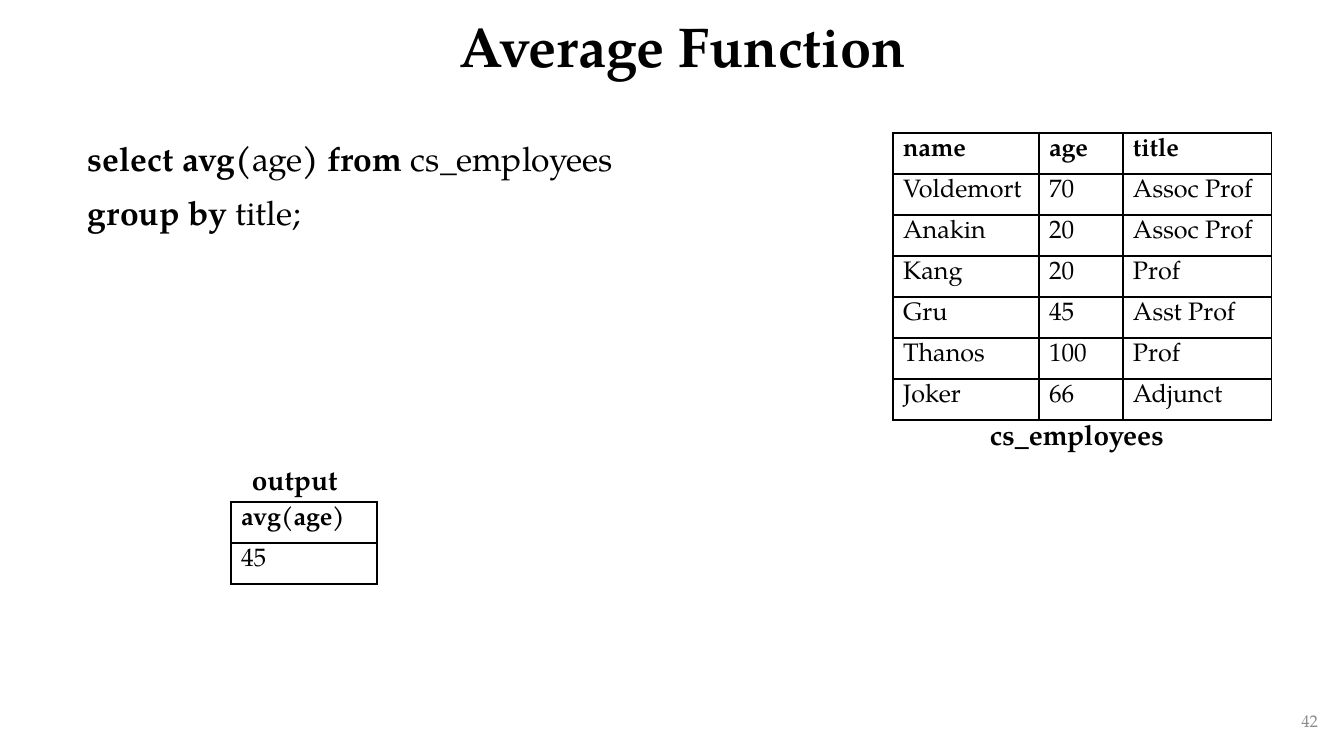
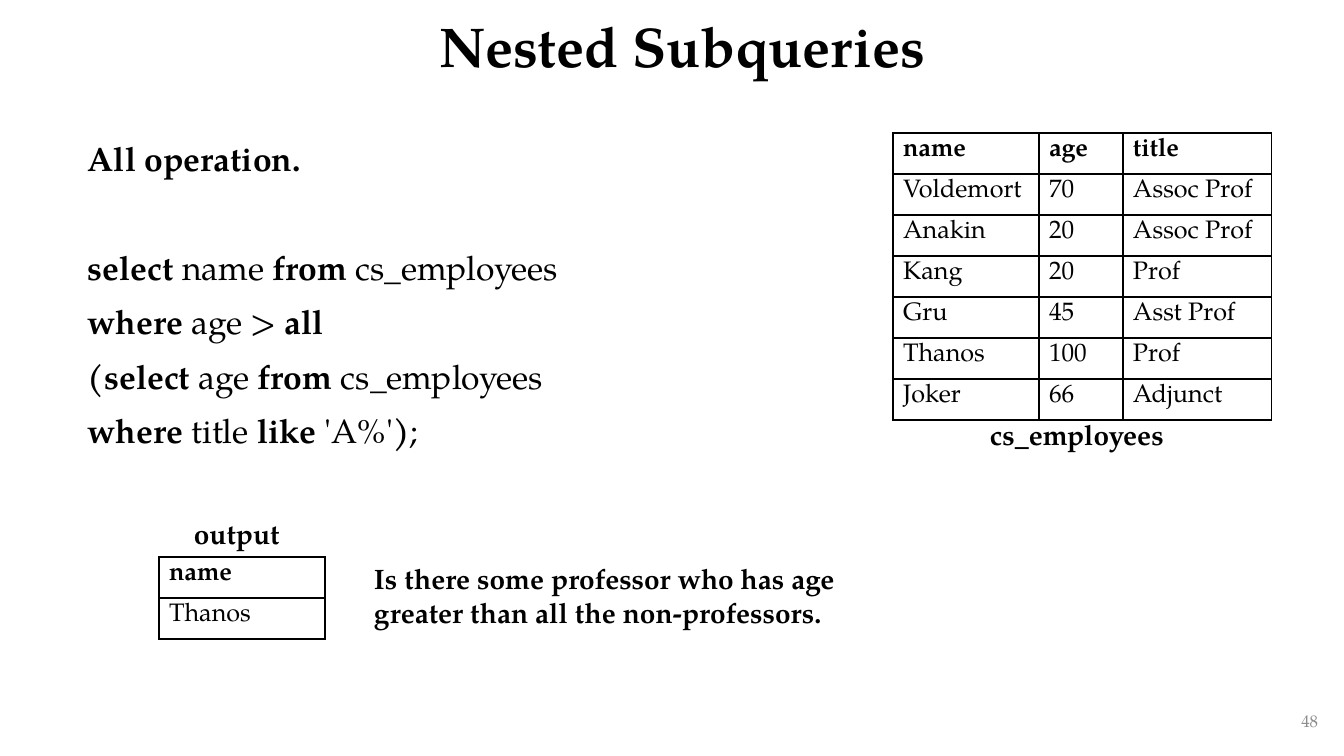
from dataclasses import dataclass

from lxml import etree
from pptx import Presentation
from pptx.dml.color import RGBColor
from pptx.enum.text import MSO_ANCHOR, PP_ALIGN
from pptx.oxml.ns import qn
from pptx.util import Pt

LEFT, CENTER, RIGHT, JUSTIFY = PP_ALIGN.LEFT, PP_ALIGN.CENTER, PP_ALIGN.RIGHT, PP_ALIGN.JUSTIFY
TOP, MIDDLE = MSO_ANCHOR.TOP, MSO_ANCHOR.MIDDLE
EMU_PER_PX = 914400 / 100.8


@dataclass(frozen=True)
class Theme:
    font: str = "TeX Gyre Pagella"
    ink: str = "000000"
    muted: str = "8C8C8C"
    title_size: int = 40
    body_size: int = 24
    caption_size: int = 20
    table_size: int = 18
    number_size: int = 12
    line_gap: int = 10
    block_gap: int = 49
    border_width: int = 1
    row_height: int = 41


THEME = Theme()


def px(length):
    return round(length * EMU_PER_PX)


def write_text(text, *, frame, size, color=THEME.ink, align=LEFT, anchor=TOP, line_spacing=1, gap=0):
    frame.word_wrap = True
    frame.vertical_anchor = anchor
    lines = [(line, index > 0 and line_index == 0)
             for index, block in enumerate(text.split("\n\n"))
             for line_index, line in enumerate(block.split("\n"))]
    for index, (line, starts_block) in enumerate(lines):
        paragraph = frame.add_paragraph() if index else frame.paragraphs[0]
        paragraph.alignment = align
        paragraph.line_spacing = line_spacing
        if index:
            paragraph.space_before = Pt(THEME.block_gap if starts_block else gap)
        for part_index, part in enumerate(line.split("*")):
            if part:
                run = paragraph.add_run()
                run.text = part
                run.font.name = THEME.font
                run.font.size = Pt(size)
                run.font.bold = part_index % 2 == 1
                run.font.color.rgb = RGBColor.from_string(color)


def add_grid(slide, left, top, widths, rows):
    frame = slide.shapes.add_table(len(rows), len(widths), px(left), px(top),
                                   px(sum(widths)), px(THEME.row_height * len(rows)))
    table = frame.table
    table.first_row = table.horz_banding = False
    for column, width in zip(table.columns, widths):
        column.width = px(width)
    for row_index, values in enumerate(rows):
        table.rows[row_index].height = px(THEME.row_height)
        for column_index, value in enumerate(values):
            cell = table.cell(row_index, column_index)
            cell.fill.background()
            write_text(value if row_index else f"*{value}*",
                       frame=cell.text_frame, size=THEME.table_size)
            properties = cell._tc.get_or_add_tcPr()
            for position, side in enumerate(("a:lnL", "a:lnR", "a:lnT", "a:lnB")):
                border = etree.Element(qn(side), w=str(Pt(THEME.border_width)))
                fill = etree.SubElement(border, qn("a:solidFill"))
                etree.SubElement(fill, qn("a:srgbClr"), val=THEME.ink)
                properties.insert(position, border)


TITLE = dict(size=THEME.title_size, align=CENTER, anchor=MIDDLE, line_spacing=0.9)
BODY = dict(size=THEME.body_size, align=JUSTIFY, gap=THEME.line_gap)
CAPTION = dict(size=THEME.caption_size)
NUMBER = dict(size=THEME.number_size, color=THEME.muted, align=RIGHT, anchor=MIDDLE)

EMPLOYEES = [
    ("name", "age", "title"),
    ("Voldemort", "70", "Assoc Prof"),
    ("Anakin", "20", "Assoc Prof"),
    ("Kang", "20", "Prof"),
    ("Gru", "45", "Asst Prof"),
    ("Thanos", "100", "Prof"),
    ("Joker", "66", "Adjunct"),
]

SLIDES = [
    dict(
        title="Average Function",
        body="*select avg(*age*) from *cs_employees\n*group by* title;",
        number="42",
        output=(231, 502, [146], [("avg(age)",), ("45",)]),
        captions=[("*output*", (242, 458, 122, 44))],
    ),
    dict(
        title="Nested Subqueries",
        body="*All operation.*\n\n"
             "*select* name *from *cs_employees\n"
             "*where* age > *all*\n"
             "*(select* age *from *cs_employees\n"
             "*where* title *like* 'A%'*)*;",
        number="48",
        output=(159, 557, [166], [("name",), ("Thanos",)]),
        captions=[
            ("*output*", (184, 512, 122, 44)),
            ("*Is there some professor who has age*\n*greater than all the non-professors.*",
             (364, 557, 485, 78)),
        ],
    ),
]

presentation = Presentation()
presentation.slide_width = px(1344)
presentation.slide_height = px(756)
blank_layout = presentation.slide_layouts[6]

for content in SLIDES:
    slide = presentation.slides.add_slide(blank_layout)
    texts = [
        (content["body"], (78, 133, 1235, 562), BODY),
        (content["number"], (1026, 701, 302, 40), NUMBER),
        (f"*{content['title']}*", (103, 0, 1159, 99), TITLE),
        ("*cs_employees*", (980, 413, 203, 44), CAPTION),
    ]
    texts += [(text, box, CAPTION) for text, box in content["captions"]]
    for text, box, style in texts:
        shape = slide.shapes.add_textbox(*map(px, box))
        write_text(text, frame=shape.text_frame, **style)
    add_grid(slide, 893, 133, [146, 84, 149], EMPLOYEES)
    add_grid(slide, *content["output"])

presentation.save("out.pptx")
